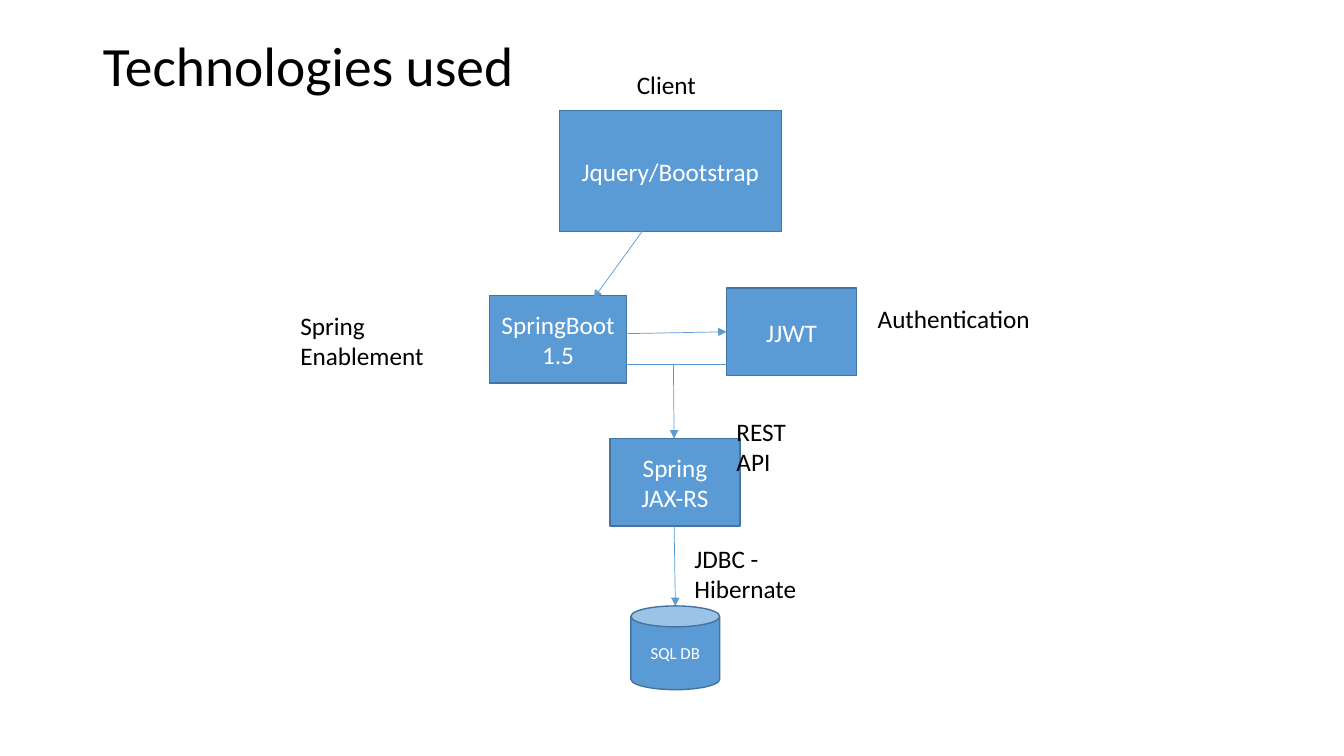
from lxml.etree import SubElement
from pptx import Presentation
from pptx.dml.color import RGBColor
from pptx.enum.shapes import MSO_CONNECTOR, MSO_SHAPE
from pptx.enum.text import MSO_ANCHOR, MSO_AUTO_SIZE, PP_ALIGN
from pptx.oxml.ns import qn
from pptx.util import Cm, Pt

BLUE = RGBColor(0x5B, 0x9B, 0xD5)
DARK_BLUE = RGBColor(0x43, 0x73, 0x9E)
WHITE = RGBColor(0xFF, 0xFF, 0xFF)
BLACK = RGBColor(0x00, 0x00, 0x00)
FONT = "Calibri"

# Text, left, top, width, height in centimetres
COMPONENTS = [
    ("Jquery/Bootstrap", 14.1, 2.79, 5.59, 3.05),
    ("JJWT", 18.31, 7.26, 3.28, 2.21),
    ("SpringBoot 1.5", 12.34, 7.44, 3.45, 2.21),
    ("Spring JAX-RS", 15.37, 11.05, 3.28, 2.21),
]
LABELS = [
    ("Client", 15.8, 1.63, 2.44, 1.02),
    ("REST API", 18.31, 10.36, 2.44, 1.8),
    ("Spring Enablement", 7.32, 7.7, 3.78, 1.8),
    ("Authentication", 21.87, 7.52, 4.55, 1.02),
    ("JDBC - Hibernate", 17.25, 13.56, 4.34, 1.8),
]
# Start x, start y, end x, end y in centimetres
ARROWS = [
    (16.99, 13.26, 17.02, 15.27),
    (16.43, 5.49, 14.96, 7.52),
    (16.97, 9.17, 16.99, 11.05),
    (15.65, 8.41, 18.31, 8.36),
]
RETURN_LINE = (18.31, 9.17, 15.65, 9.17)


def to_cm(values):
    """Turn plain numbers into centimetre lengths."""
    return [Cm(value) for value in values]


def style_text(paragraph, size, color):
    """Set the font of a whole paragraph."""
    font = paragraph.font
    font.name = FONT
    font.size = Pt(size)
    font.color.rgb = color


def set_title(slide, wording):
    """Place and format the title placeholder."""
    title = slide.shapes.title
    title.left, title.top, title.width, title.height = to_cm((2.34, 1.02, 29.21, 1.42))
    frame = title.text_frame
    frame.text = wording
    frame.auto_size = MSO_AUTO_SIZE.NONE
    frame.vertical_anchor = MSO_ANCHOR.MIDDLE
    heading = frame.paragraphs[0]
    heading.alignment = PP_ALIGN.LEFT
    heading.line_spacing = 0.9
    style_text(heading, 39.6, BLACK)


def add_component(slide, wording, *box, outline=MSO_SHAPE.RECTANGLE, size=18):
    """Add a filled shape for one part of the architecture."""
    component = slide.shapes.add_shape(outline, *to_cm(box))
    component.shadow.inherit = False
    component.fill.solid()
    component.fill.fore_color.rgb = BLUE
    component.line.color.rgb = DARK_BLUE
    component.line.width = Pt(1)
    frame = component.text_frame
    frame.word_wrap = True
    frame.vertical_anchor = MSO_ANCHOR.MIDDLE
    frame.text = wording
    frame.paragraphs[0].alignment = PP_ALIGN.CENTER
    style_text(frame.paragraphs[0], size, WHITE)


def add_label(slide, wording, *box):
    """Add a wrapping caption beside a component."""
    frame = slide.shapes.add_textbox(*to_cm(box)).text_frame
    frame.word_wrap = True
    frame.auto_size = MSO_AUTO_SIZE.SHAPE_TO_FIT_TEXT
    frame.text = wording
    style_text(frame.paragraphs[0], 18, BLACK)


def add_link(slide, *ends, arrow=True):
    """Add a thin line, with an arrowhead at its end if wanted."""
    link = slide.shapes.add_connector(MSO_CONNECTOR.STRAIGHT, *to_cm(ends))
    link.line.color.rgb = BLUE
    link.line.width = Pt(0.5)
    if arrow:
        SubElement(link.line._get_or_add_ln(), qn("a:tailEnd"), type="triangle")
    SubElement(link._element.spPr, qn("a:effectLst"))


def main():
    """Build the slide and save it."""
    deck = Presentation()
    deck.slide_width, deck.slide_height = to_cm((33.87, 19.05))
    slide = deck.slides.add_slide(deck.slide_layouts[5])
    set_title(slide, "Technologies used")
    add_component(slide, "SQL DB", 15.9, 15.27, 2.24, 2.11, outline=MSO_SHAPE.CAN, size=12)
    for component in COMPONENTS:
        add_component(slide, *component)
    for label in LABELS:
        add_label(slide, *label)
    for arrow in ARROWS:
        add_link(slide, *arrow)
    add_link(slide, *RETURN_LINE, arrow=False)
    deck.save("out.pptx")


main()
